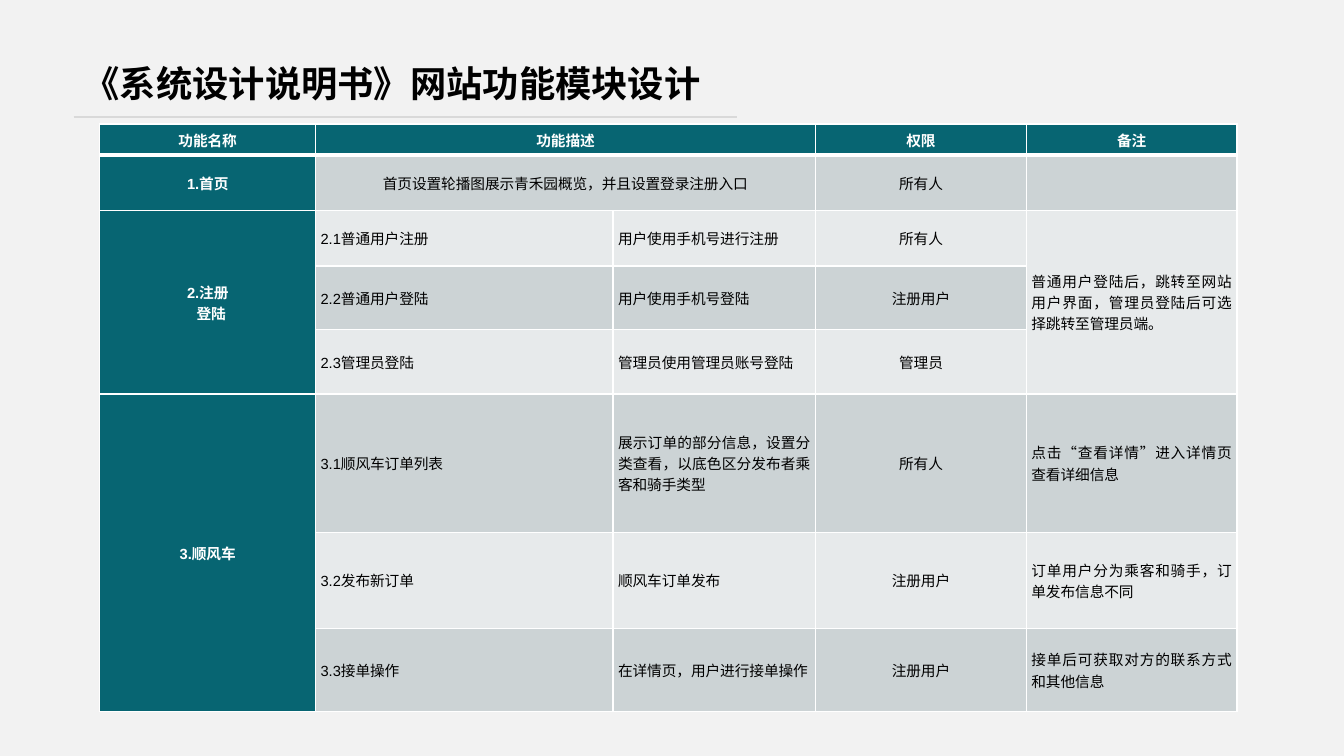
import dataclasses

import pptx
import pptx.dml.color
import pptx.enum.shapes
import pptx.enum.text
import pptx.oxml
import pptx.oxml.ns
import pptx.util

Inches = pptx.util.Inches
Align = pptx.enum.text.PP_ALIGN
Anchor = pptx.enum.text.MSO_ANCHOR

TEAL, DARK_BAND, LIGHT_BAND = "076572", "CCD3D5", "E7EAEB"
WHITE, BLACK, RULE_GRAY, BACKGROUND = "FFFFFF", "000000", "D9D9D9", "F2F2F2"

COLUMN_WIDTHS = [2.14, 2.95, 2.01, 2.09, 2.09]
COLUMN_ALIGNMENTS = [Align.CENTER, Align.LEFT, Align.JUSTIFY, Align.CENTER, Align.JUSTIFY]
ROW_HEIGHTS = [0.31, 0.55, 0.55, 0.63, 0.64, 1.37, 0.96, 0.82]
ROWS = [
    ["功能名称", "功能描述", "", "权限", "备注"],
    ["1.首页", "首页设置轮播图展示青禾园概览，并且设置登录注册入口", "", "所有人", ""],
    ["2.注册\n登陆", "2.1普通用户注册", "用户使用手机号进行注册", "所有人",
     "普通用户登陆后，跳转至网站用户界面，管理员登陆后可选择跳转至管理员端。"],
    ["", "2.2普通用户登陆", "用户使用手机号登陆", "注册用户", ""],
    ["", "2.3管理员登陆", "管理员使用管理员账号登陆", "管理员", ""],
    ["3.顺风车", "3.1顺风车订单列表", "展示订单的部分信息，设置分类查看，以底色区分发布者乘客和骑手类型",
     "所有人", "点击“查看详情”进入详情页查看详细信息"],
    ["", "3.2发布新订单", "顺风车订单发布", "注册用户", "订单用户分为乘客和骑手，订单发布信息不同"],
    ["", "3.3接单操作", "在详情页，用户进行接单操作", "注册用户", "接单后可获取对方的联系方式和其他信息"],
]


@dataclasses.dataclass(frozen=True)
class Span:
    top: int
    left: int
    bottom: int
    right: int


SPANS = [Span(0, 1, 0, 2), Span(1, 1, 1, 2), Span(2, 0, 4, 0), Span(2, 4, 4, 4), Span(5, 0, 7, 0)]


def color(value: str) -> pptx.dml.color.RGBColor:
    return pptx.dml.color.RGBColor.from_string(value)


def apply_format(target, values: dict) -> None:
    for name, value in values.items():
        setattr(target, name, value)


def format_font(font, size: float, bold: bool, font_color: str) -> None:
    apply_format(font, {"name": "Arial", "size": pptx.util.Pt(size), "bold": bold})
    font.color.rgb = color(font_color)


def add_title(slide, text: str) -> None:
    title = slide.shapes.title
    apply_format(title, {"left": Inches(0.73), "top": Inches(0.67),
                         "width": Inches(6.58), "height": Inches(0.83)})
    frame = title.text_frame
    apply_format(frame, {"vertical_anchor": Anchor.BOTTOM, "word_wrap": True,
                         "auto_size": pptx.enum.text.MSO_AUTO_SIZE.NONE,
                         "margin_top": 0, "margin_bottom": Inches(0.45)})
    paragraph = frame.paragraphs[0]
    apply_format(paragraph, {"alignment": Align.LEFT, "line_spacing": 0.9})
    run = paragraph.add_run()
    run.text = text
    format_font(run.font, 25.9, True, BLACK)


def add_rule(slide) -> None:
    rule = slide.shapes.add_connector(pptx.enum.shapes.MSO_CONNECTOR.STRAIGHT,
                                      Inches(0.73), Inches(1.16), Inches(7.31), Inches(1.16))
    rule.line.color.rgb = color(RULE_GRAY)
    rule.line.width = pptx.util.Pt(1.5)
    rule._element.spPr.append(pptx.oxml.parse_xml(
        f'<a:effectLst {pptx.oxml.ns.nsdecls("a")}/>'))


def set_borders(cell, bottom_width: float) -> None:
    properties = cell._tc.get_or_add_tcPr()
    for side, width in {"L": 1, "R": 1, "T": 1, "B": bottom_width}.items():
        properties.append(pptx.oxml.parse_xml(
            f'<a:ln{side} {pptx.oxml.ns.nsdecls("a")} w="{pptx.util.Pt(width)}">'
            f'<a:solidFill><a:srgbClr val="{WHITE}"/></a:solidFill></a:ln{side}>'))


def fill_cell(cell, text: str, row: int, column: int) -> None:
    is_heading = row == 0 or column == 0
    set_borders(cell, 3 if row == 0 else 1)
    cell.fill.solid()
    cell.fill.fore_color.rgb = color(
        TEAL if is_heading else DARK_BAND if row % 2 else LIGHT_BAND)
    apply_format(cell, {"vertical_anchor": Anchor.MIDDLE, "margin_top": 0, "margin_bottom": 0,
                        "margin_left": Inches(0.05), "margin_right": Inches(0.05)})
    if not text:
        return
    cell.text = text
    centered = is_heading or cell.is_merge_origin and cell.span_width > 1
    for index, paragraph in enumerate(cell.text_frame.paragraphs):
        paragraph.alignment = Align.CENTER if centered else COLUMN_ALIGNMENTS[column]
        if index:
            paragraph._p.get_or_add_pPr().set("marL", str(Inches(0.07)))
        for run in paragraph.runs:
            format_font(run.font, 10.5, is_heading, WHITE if is_heading else BLACK)


def add_function_table(slide) -> None:
    table = slide.shapes.add_table(len(ROWS), len(COLUMN_WIDTHS), Inches(0.99), Inches(1.23),
                                   Inches(11.29), Inches(5.82)).table
    apply_format(table, {"first_row": False, "horz_banding": False})
    for column, width in zip(table.columns, COLUMN_WIDTHS):
        column.width = Inches(width)
    for row, height in zip(table.rows, ROW_HEIGHTS):
        row.height = Inches(height)
    for span in SPANS:
        table.cell(span.top, span.left).merge(table.cell(span.bottom, span.right))
    for row, texts in enumerate(ROWS):
        for column, text in enumerate(texts):
            fill_cell(table.cell(row, column), text, row, column)


def main() -> None:
    presentation = pptx.Presentation()
    apply_format(presentation, {"slide_width": Inches(13.33), "slide_height": Inches(7.5)})
    # Title Only layout
    slide = presentation.slides.add_slide(presentation.slide_layouts[5])
    slide.background.fill.solid()
    slide.background.fill.fore_color.rgb = color(BACKGROUND)
    # Heading and its underline
    add_title(slide, "《系统设计说明书》网站功能模块设计")
    add_rule(slide)
    # Function modules
    add_function_table(slide)
    presentation.save("out.pptx")


if __name__ == "__main__":
    main()
